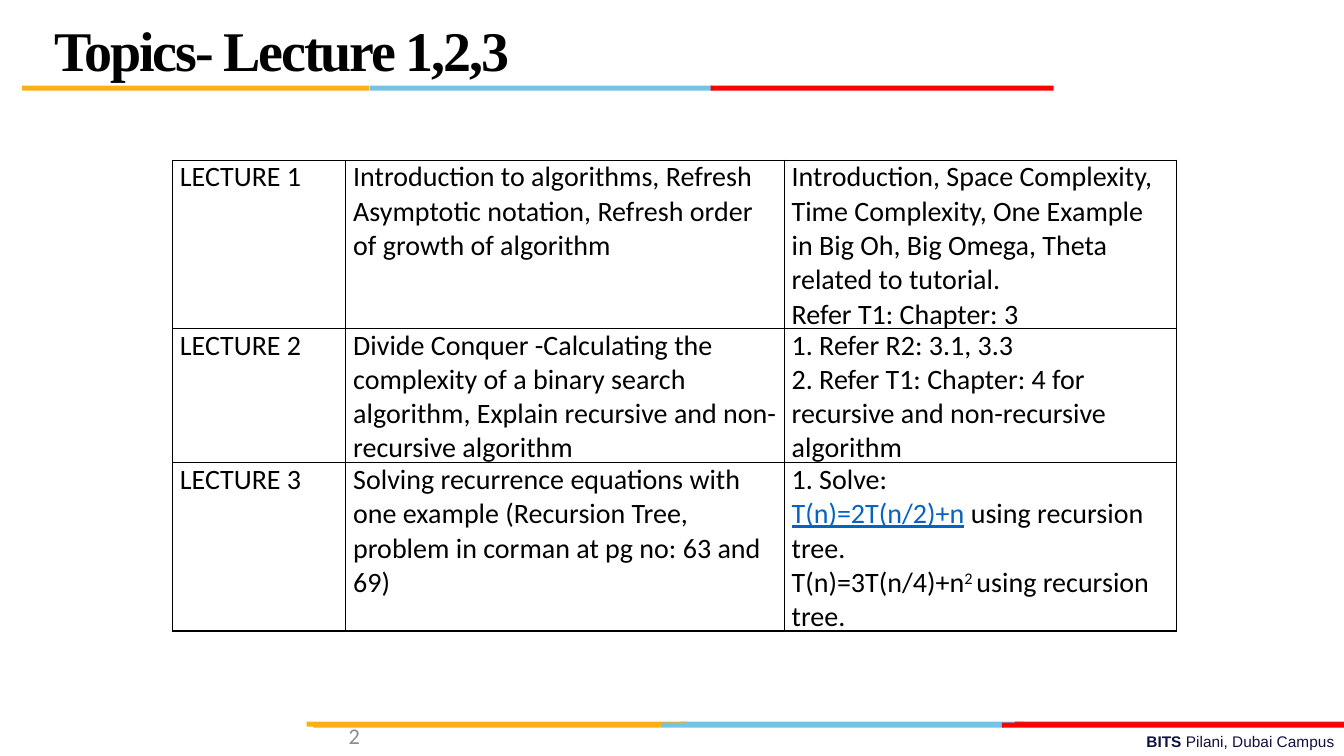
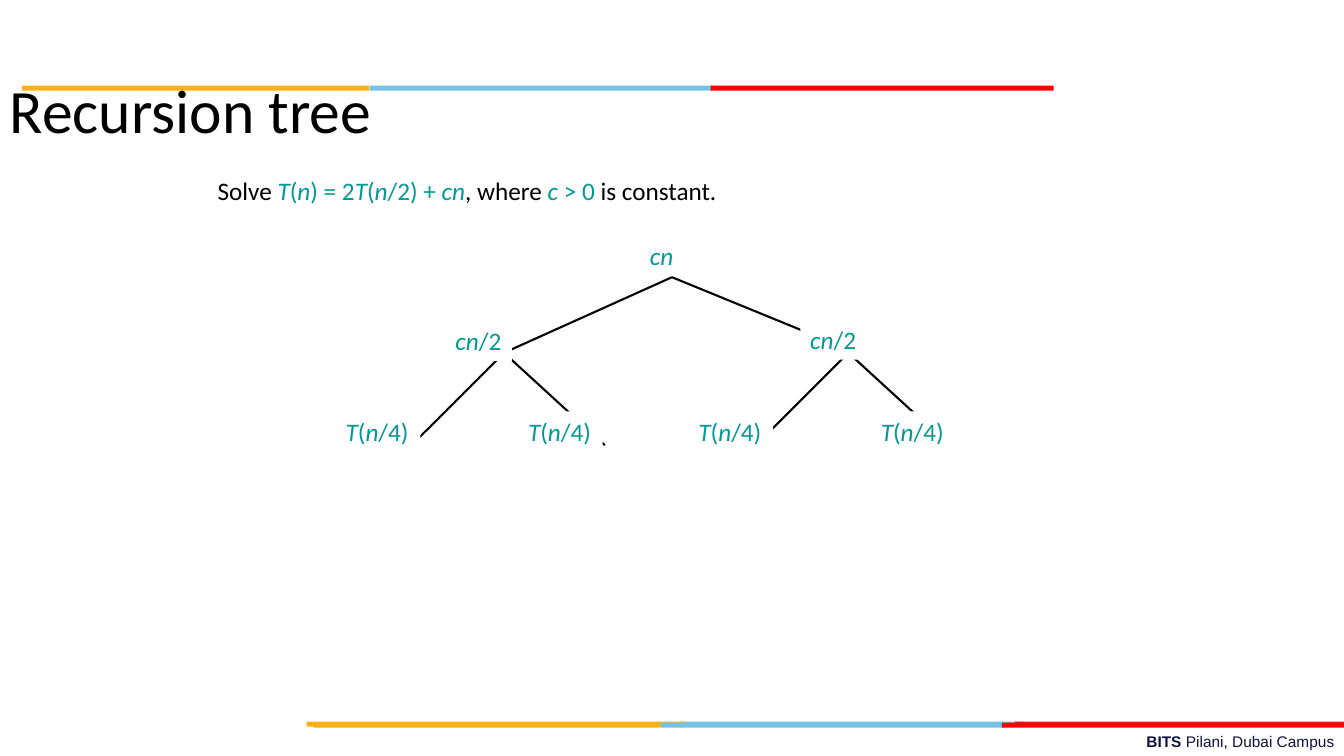
from lxml.etree import SubElement
from pptx import Presentation
from pptx.dml.color import RGBColor
from pptx.enum.shapes import MSO_CONNECTOR as Connector, MSO_SHAPE as Shape
from pptx.enum.text import MSO_ANCHOR as Anchor, MSO_AUTO_SIZE as AutoSize, PP_ALIGN as Align
from pptx.oxml.ns import qn
from pptx.util import Pt

BLACK, WHITE, GRAY = "000000", "FFFFFF", "8C8C8C"
GOLD, SKY, RED, DARK_RED = "FCB017", "76C2E5", "FF0000", "E31C24"
NAVY, TEAL, LINK = "101141", "009999", "0563C1"
BAR_HEIGHT = 3.6
STRIP = [(0, 248, GOLD), (248.4, 245, SKY), (491.8, 245, RED)]
FOOTER_BACKING = [(486, 245, SKY), (725, 235, DARK_RED), (219, 271, GOLD)]

SOLVE = ["1. Solve: ", "\n", ("T(n)=2T(n/2)+n", dict(color=LINK, underline=True)),
         " using recursion tree."]
SQUARED = ["T(n)=3T(n/4)+n", ("2 ", dict(baseline=30000)), "using recursion tree."]
LECTURES = [
    (["LECTURE 1"],
     ["Introduction to algorithms, Refresh Asymptotic notation, "
      "Refresh order of growth of algorithm"],
     ["Introduction, Space Complexity, Time Complexity, One Example in Big Oh, "
      "Big Omega, Theta related to tutorial.", "Refer T1: Chapter: 3"]),
    (["LECTURE 2"],
     ["Divide Conquer -Calculating the complexity of a binary search algorithm, "
      "Explain recursive and non-recursive algorithm"],
     ["1. Refer R2: 3.1, 3.3",
      "2. Refer T1: Chapter: 4 for recursive and non-recursive algorithm"]),
    (["LECTURE 3"],
     ["Solving recurrence equations with one example "
      "(Recursion Tree, problem in corman at pg no: 63 and 69)"],
     [SOLVE, SQUARED]),
]


def rgb(value):
    return RGBColor.from_string(value)


def style_run(run, size=18, font="Calibri", color=BLACK, bold=False, italic=False,
              underline=False, baseline=None, spacing=None):
    face = run.font
    face.size, face.name, face.bold, face.italic = Pt(size), font, bold, italic
    face.color.rgb = rgb(color)
    if underline:
        face.underline = True
    for key, value in (("baseline", baseline), ("spc", spacing)):
        if value is not None:
            run._r.get_or_add_rPr().set(key, str(value))


def write(frame, paragraphs, align=Align.LEFT, line_spacing=None, **style):
    for index, runs in enumerate(paragraphs):
        paragraph = frame.add_paragraph() if index else frame.paragraphs[0]
        paragraph.alignment = align
        if line_spacing:
            paragraph.line_spacing = line_spacing
        for item in [runs] if isinstance(runs, str) else runs:
            words, extra = (item, {}) if isinstance(item, str) else item
            if words == "\n":
                paragraph.add_line_break()
                continue
            run = paragraph.add_run()
            run.text = words
            style_run(run, **{**style, **extra})


def add_text(slide, left, top, width, height, paragraphs, anchor=Anchor.TOP,
             wrap=True, fill=None, **style):
    box = slide.shapes.add_textbox(Pt(left), Pt(top), Pt(width), Pt(height))
    frame = box.text_frame
    frame.word_wrap = wrap
    frame.vertical_anchor = anchor
    if not wrap:
        frame.auto_size = AutoSize.SHAPE_TO_FIT_TEXT
    if fill:
        box.fill.solid()
        box.fill.fore_color.rgb = rgb(fill)
    write(frame, paragraphs, **style)


def formula(marked):
    return [(part, dict(color=TEAL, italic=index % 2 == 1))
            for index, part in enumerate(marked.split("*")) if part]


def add_bars(slide, left, top, bars):
    for offset, width, color in bars:
        bar = slide.shapes.add_shape(Shape.RECTANGLE, Pt(left + offset), Pt(top),
                                     Pt(width), Pt(BAR_HEIGHT))
        bar.shadow.inherit = False
        bar.fill.solid()
        bar.fill.fore_color.rgb = rgb(color)
        bar.line.fill.background()


def add_branch(slide, start, end):
    branch = slide.shapes.add_connector(Connector.STRAIGHT, *map(Pt, start + end))
    branch.line.color.rgb = rgb(BLACK)
    branch.line.width = Pt(1.5)
    SubElement(branch._element.spPr, qn("a:effectLst"))


def add_borders(cell):
    properties = cell._tc.get_or_add_tcPr()
    for index, side in enumerate(("lnL", "lnR", "lnT", "lnB")):
        border = properties.makeelement(qn(f"a:{side}"), {"w": str(Pt(1))})
        fill = SubElement(border, qn("a:solidFill"))
        SubElement(fill, qn("a:srgbClr"), val=BLACK)
        properties.insert(index, border)


def add_lecture_table(slide):
    widths, heights = (123.8, 313.2, 280.1), (108, 86.4, 108)
    table = slide.shapes.add_table(len(heights), len(widths), Pt(123.1), Pt(114.5),
                                   Pt(sum(widths)), Pt(sum(heights))).table
    table.first_row = table.horz_banding = False
    for column, width in zip(table.columns, widths):
        column.width = Pt(width)
    for row, height, lecture in zip(table.rows, heights, LECTURES):
        row.height = Pt(height)
        for cell, paragraphs in zip(row.cells, lecture):
            cell.margin_left = cell.margin_right = Pt(5.4)
            cell.margin_top = cell.margin_bottom = 0
            cell.fill.background()
            add_borders(cell)
            write(cell.text_frame, paragraphs, size=20)


def add_tree(slide):
    root, half = (480, 198), (360, 252)
    add_branch(slide, root, half)
    add_branch(slide, root, (612, 252))
    for shift in (0, 246):
        for leaf in (294, 432):
            add_branch(slide, (half[0] + shift, half[1]), (leaf + shift, 318))

    labels = [(457.2, 167.8, 31.7, "*cn*"),
              (318.2, 229, 47.5, "*cn*/2"), (571.7, 228.2, 47.5, "*cn*/2")]
    labels += [(left, 293.8, 60.5, "*T*(*n*/4)") for left in (239.8, 370.1, 491.8, 622.1)]
    for left, top, width, label in labels:
        add_text(slide, left, top, width, 28.8, [formula(label)], wrap=False, fill=WHITE)


def add_base_slide(deck):
    slide = deck.slides.add_slide(deck.slide_layouts[6])
    add_text(slide, 344, 519.1, 616.3, 20.9,
             [[("BITS ", dict(bold=True)), "Pilani, Dubai Campus"]],
             align=Align.RIGHT, size=11, font="Arial", color=NAVY)
    add_bars(slide, 0, 515.5, FOOTER_BACKING)
    add_bars(slide, 223.9, 516.2, STRIP)
    add_bars(slide, 15.8, 61.2, STRIP)
    return slide


def build_topics(deck):
    slide = add_base_slide(deck)
    add_text(slide, 31.7, -3.6, 663.8, 90, ["Topics- Lecture 1,2,3"], anchor=Anchor.MIDDLE,
             line_spacing=Pt(36), size=40, font="Times New Roman", bold=True, spacing=-150)
    add_text(slide, 40.3, 511.2, 223.9, 28.8, ["2"], anchor=Anchor.MIDDLE,
             align=Align.RIGHT, size=16, color=GRAY)
    add_lecture_table(slide)


def build_recursion(deck):
    slide = add_base_slide(deck)
    add_text(slide, 0, 28.8, 828, 104.4, ["Recursion tree"], anchor=Anchor.MIDDLE,
             line_spacing=0.9, size=44)
    add_text(slide, 148.3, 121.7, 375.1, 28.8,
             [["Solve ", *formula("*T*(*n*) = 2*T*(*n*/2) + *cn*"), ", where ",
               *formula("*c *> 0"), " is constant."]], wrap=False)
    add_tree(slide)


def main():
    deck = Presentation()
    deck.slide_width, deck.slide_height = Pt(960), Pt(540)
    build_topics(deck)
    build_recursion(deck)
    deck.save("out.pptx")


if __name__ == "__main__":
    main()
